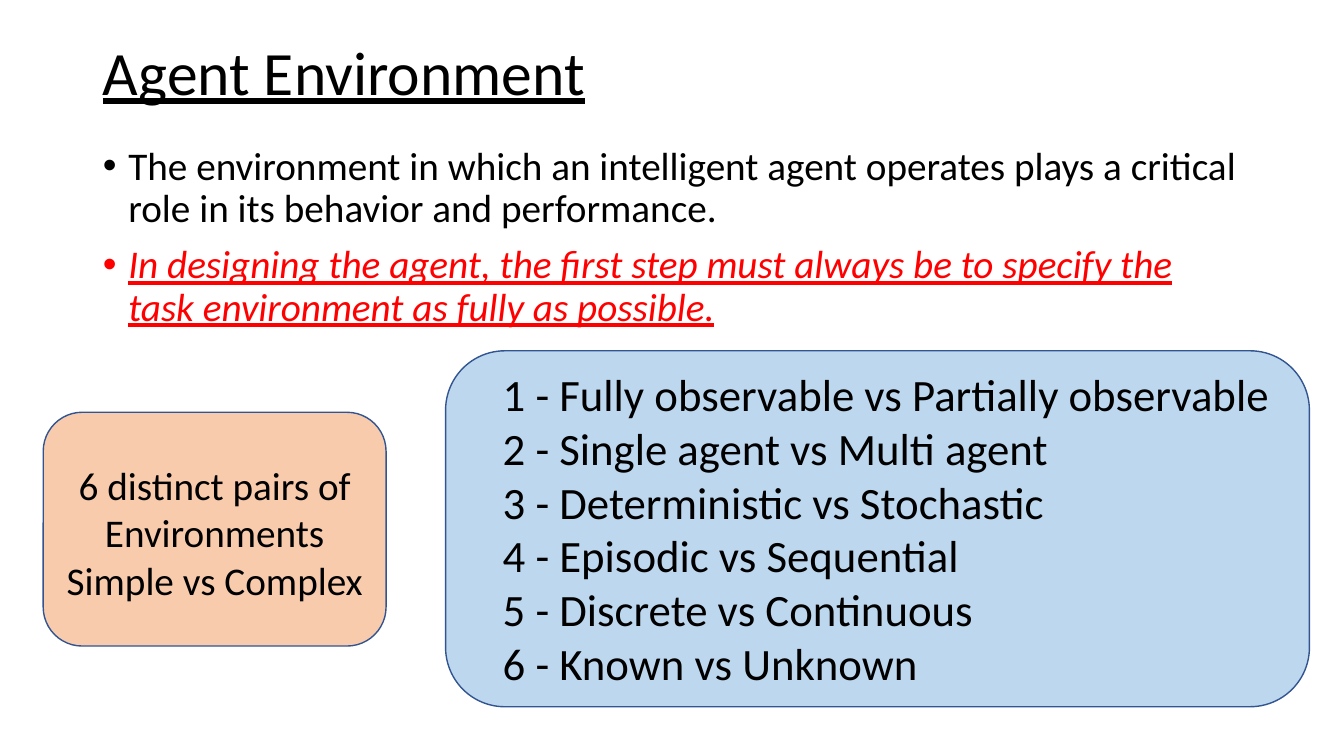
from pptx import Presentation
from pptx.dml.color import RGBColor
from pptx.enum.shapes import MSO_SHAPE
from pptx.enum.text import MSO_ANCHOR, MSO_AUTO_SIZE, PP_ALIGN
from pptx.util import Cm, Pt

ROUNDED = MSO_SHAPE.ROUNDED_RECTANGLE
MIDDLE, TOP = MSO_ANCHOR.MIDDLE, MSO_ANCHOR.TOP
LEFT, CENTER = PP_ALIGN.LEFT, PP_ALIGN.CENTER
NO_FIT = MSO_AUTO_SIZE.NONE

FONT = "Calibri"
COLORS = {
    "text": "000000",
    "emphasis": "FF0000",
    "pairs": "BDD7EE",
    "summary": "F8CBAD",
    "outline": "325491",
}
BULLETS = [
    ("The environment in which an intelligent agent operates plays a critical "
     "role in its behavior and performance.", False),
    ("In designing the agent, the first step must always be to specify the "
     "task environment as fully as possible.", True),
]
PAIRS = [
    "Fully observable vs Partially observable",
    "Single agent vs Multi agent",
    "Deterministic vs Stochastic",
    "Episodic vs Sequential",
    "Discrete vs Continuous",
    "Known vs Unknown",
]
SUMMARY = ["6 distinct pairs of Environments", "Simple vs Complex"]


def color(name):
    return RGBColor.from_string(COLORS[name])


def place(shape, box):
    shape.left, shape.top, shape.width, shape.height = map(Cm, box)


def format_paragraph(paragraph, size, color_name="text", alignment=LEFT):
    paragraph.alignment = alignment
    for run in paragraph.runs:
        run.font.name = FONT
        run.font.size = Pt(size)
        run.font.color.rgb = color(color_name)


def fill_title(slide, box):
    title = slide.shapes.title
    place(title, box)
    text_frame = title.text_frame
    text_frame.text = "Agent Environment"
    text_frame.auto_size = NO_FIT
    text_frame.vertical_anchor = MIDDLE
    paragraph = text_frame.paragraphs[0]
    paragraph.line_spacing = 0.9
    format_paragraph(paragraph, 44)
    paragraph.runs[0].font.underline = True


def fill_body(slide, box):
    body = slide.placeholders[1]
    place(body, box)
    text_frame = body.text_frame
    text_frame.text = "\n".join(text for text, _ in BULLETS)
    text_frame.auto_size = NO_FIT
    for paragraph, (_, emphasized) in zip(text_frame.paragraphs, BULLETS):
        paragraph.line_spacing = 0.9
        paragraph.space_before = Pt(10)
        format_paragraph(paragraph, 28, "emphasis" if emphasized else "text")
        # Hanging indent for the bullet
        properties = paragraph._p.get_or_add_pPr()
        properties.set("marL", str(Cm(0.64)))
        properties.set("indent", str(-Cm(0.64)))
        if emphasized:
            font = paragraph.runs[0].font
            font.italic = font.underline = True


def add_card(slide, box, text_inset, lines, size, fill, alignment):
    """Rounded card with a centred text box, inset from the card's edges."""
    left, top, width, height = box
    inset_left, inset_top, inset_right = text_inset
    group = slide.shapes.add_group_shape()

    # Card
    card = group.shapes.add_shape(ROUNDED, *map(Cm, box))
    card.shadow.inherit = False
    card.fill.solid()
    card.fill.fore_color.rgb = color(fill)
    card.line.color.rgb = color("outline")
    card.line.width = Pt(1)

    # Text
    text_box = group.shapes.add_textbox(
        Cm(left + inset_left), Cm(top + inset_top),
        Cm(width - inset_left - inset_right), Cm(height - 2 * inset_top))
    text_frame = text_box.text_frame
    text_frame.word_wrap = True
    text_frame.vertical_anchor = TOP
    text_frame.text = "\n".join(lines)
    for paragraph in text_frame.paragraphs:
        format_paragraph(paragraph, size, alignment=alignment)


def build_environment_slide(presentation):
    slide = presentation.slides.add_slide(presentation.slide_layouts[1])
    fill_title(slide, (2.34, 0.79, 12.67, 2.21))
    fill_body(slide, (2.34, 3.56, 29.21, 5.11))
    numbered_pairs = [f"{number} - {pair}"
                      for number, pair in enumerate(PAIRS, start=1)]
    add_card(slide, (11.23, 8.84, 21.77, 8.97), (1.19, 0.28, 0.2),
             numbered_pairs, 32, "pairs", LEFT)
    add_card(slide, (1.09, 10.39, 8.64, 5.89), (-0.9, 1.12, -0.9),
             SUMMARY, 28, "summary", CENTER)


def main():
    presentation = Presentation()
    presentation.slide_width = Cm(33.87)
    presentation.slide_height = Cm(19.05)
    build_environment_slide(presentation)
    presentation.save("out.pptx")


if __name__ == "__main__":
    main()
